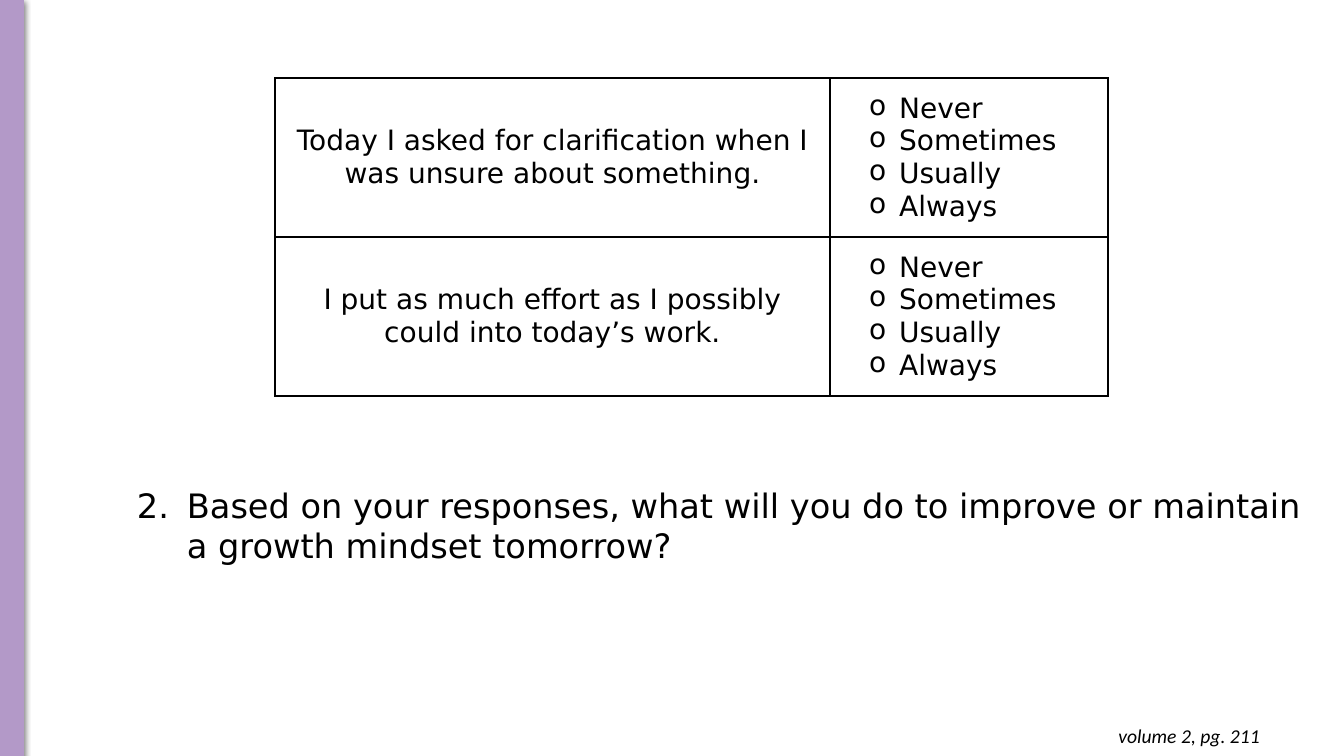
"""Build a growth mindset reflection slide with a response table and a follow-up question."""
import pptx
import pptx.dml.color
import pptx.enum.shapes
import pptx.enum.text
import pptx.oxml
import pptx.oxml.ns
import pptx.util

STATEMENTS = [
    "Today I asked for clarification when I was unsure about something.",
    "I put as much effort as I possibly could into today’s work.",
]
CHOICES = ["Never", "Sometimes", "Usually", "Always"]
QUESTION = "Based on your responses, what will you do to improve or maintain a growth mindset tomorrow?"
PAGE_REFERENCE = "volume 2, pg. 211"

SLIDE_SIZE = (1344, 756)
SIDEBAR_BOX = (0, 0, 24, 757)
TABLE_BOX = (275, 78, 833, 318)
COLUMN_WIDTHS = (555, 278)
QUESTION_BOX = (127, 480, 1187, 92)
REFERENCE_BOX = (980, 714, 290, 44)
CHOICE_INDENT = (59, 30)
QUESTION_INDENT = (50, 50)

THEME = {
    "ink": "000000",
    "accent": "B399C8",
    "body_font": "DejaVu Sans",
    "reference_font": "Calibri",
    "table_size": 20,
    "question_size": 24,
    "reference_size": 14,
    "border_width": 1.5,
}
EMU_PER_PX = 914400 / 100.8
ALIGN = pptx.enum.text.PP_ALIGN


def px(length):
    return pptx.util.Emu(round(length * EMU_PER_PX))


def place(box):
    return [px(length) for length in box]


def color(name):
    return pptx.dml.color.RGBColor.from_string(THEME[name])


def element(markup):
    head, separator, tail = markup.partition(" ")
    return pptx.oxml.parse_xml(f"{head} {pptx.oxml.ns.nsdecls('a')} {tail}")


def solid(name):
    return f'<a:solidFill><a:srgbClr val="{THEME[name]}"/></a:solidFill>'


def style(paragraph, size, font="body_font", align=ALIGN.LEFT, italic=False):
    paragraph.alignment = align
    for run in paragraph.runs:
        run.font.size = pptx.util.Pt(THEME[size])
        run.font.name = THEME[font]
        run.font.italic = italic
        run.font.color.rgb = color("ink")


def add_bullet(paragraph, indent, marker):
    left, hanging = indent
    properties = paragraph._p.get_or_add_pPr()
    properties.set("marL", str(px(left)))
    properties.set("indent", str(-px(hanging)))
    properties.append(element(f'<a:buClr ><a:srgbClr val="{THEME["ink"]}"/></a:buClr>'))
    properties.append(element(marker))


def add_borders(cell):
    properties = cell._tc.get_or_add_tcPr()
    width = pptx.util.Pt(THEME["border_width"])
    for position, side in enumerate(("lnL", "lnR", "lnT", "lnB")):
        border = element(f'<a:{side} w="{width}">{solid("ink")}</a:{side}>')
        properties.insert(position, border)


def add_text(slide, box, text):
    frame = slide.shapes.add_textbox(*place(box)).text_frame
    frame.word_wrap = True
    frame.text = text
    return frame


def add_reference(slide):
    frame = add_text(slide, REFERENCE_BOX, PAGE_REFERENCE)
    frame.margin_left = frame.margin_right = px(10)
    frame.margin_top = frame.margin_bottom = px(10)
    style(frame.paragraphs[0], "reference_size", "reference_font", ALIGN.RIGHT, True)


def add_question(slide):
    paragraph = add_text(slide, QUESTION_BOX, QUESTION).paragraphs[0]
    add_bullet(paragraph, QUESTION_INDENT, '<a:buAutoNum type="arabicPeriod" startAt="2"/>')
    style(paragraph, "question_size")


def add_response_table(slide):
    table = slide.shapes.add_table(len(STATEMENTS), len(COLUMN_WIDTHS), *place(TABLE_BOX)).table
    table.first_row = table.horz_banding = False
    for column, width in zip(table.columns, COLUMN_WIDTHS):
        column.width = px(width)
    for row, statement in zip(table.rows, STATEMENTS):
        row.height = px(TABLE_BOX[3] / len(STATEMENTS))
        statement_cell, choice_cell = row.cells
        statement_cell.text_frame.text = statement
        style(statement_cell.text_frame.paragraphs[0], "table_size", align=ALIGN.CENTER)
        choice_cell.text_frame.text = "\n".join(CHOICES)
        for paragraph in choice_cell.text_frame.paragraphs:
            add_bullet(paragraph, CHOICE_INDENT, '<a:buChar char="o"/>')
            style(paragraph, "table_size")
        for cell in row.cells:
            cell.vertical_anchor = pptx.enum.text.MSO_ANCHOR.MIDDLE
            cell.fill.background()
            add_borders(cell)


def add_sidebar(slide):
    sidebar = slide.shapes.add_shape(pptx.enum.shapes.MSO_SHAPE.RECTANGLE, *place(SIDEBAR_BOX))
    sidebar.fill.solid()
    sidebar.fill.fore_color.rgb = color("accent")
    sidebar.line.color.rgb = color("accent")
    sidebar.line.width = pptx.util.Pt(0.75)
    sidebar.shadow.inherit = False
    effects = sidebar._element.spPr.find(pptx.oxml.ns.qn("a:effectLst"))
    blur, distance = pptx.util.Pt(4.5), pptx.util.Pt(1.5)
    effects.append(element(
        f'<a:outerShdw blurRad="{blur}" dist="{distance}" dir="5400000" rotWithShape="0">'
        f'<a:srgbClr val="{THEME["ink"]}"><a:alpha val="50000"/></a:srgbClr></a:outerShdw>'
    ))


def main():
    presentation = pptx.Presentation()
    presentation.slide_width, presentation.slide_height = place(SLIDE_SIZE)
    slide = presentation.slides.add_slide(presentation.slide_layouts[6])
    add_reference(slide)
    add_question(slide)
    add_response_table(slide)
    add_sidebar(slide)
    presentation.save("out.pptx")


if __name__ == "__main__":
    main()
